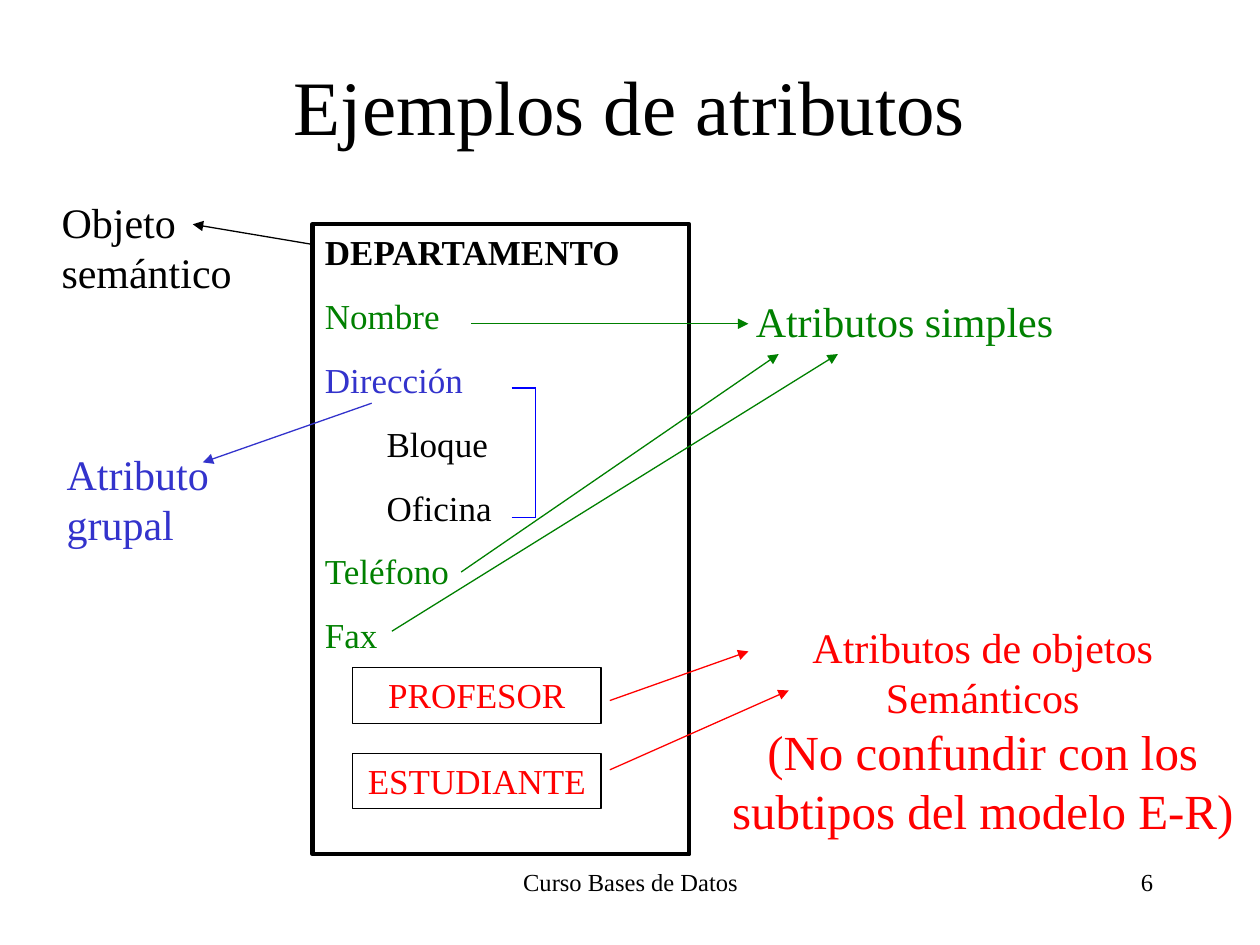
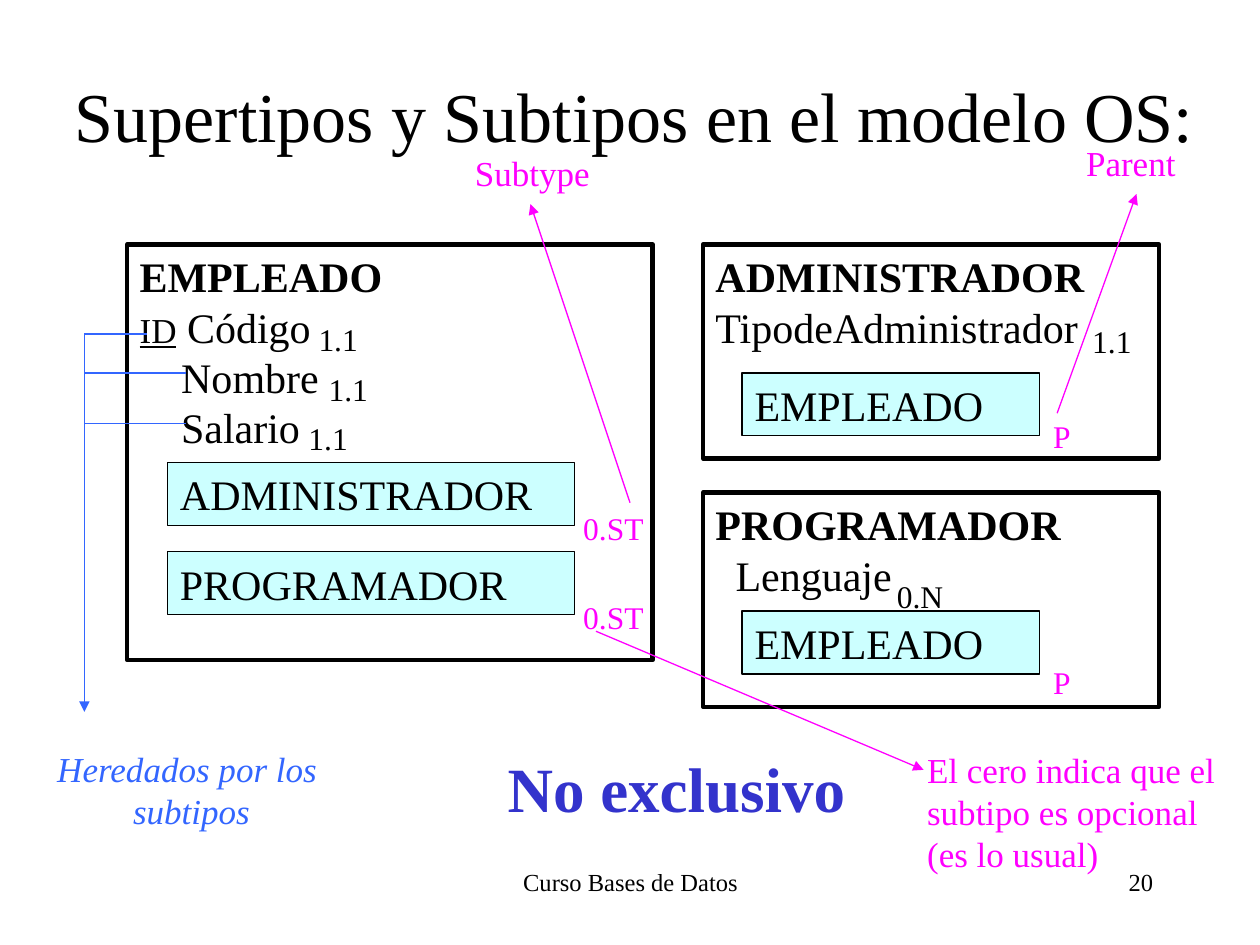
from pptx import Presentation
from pptx.dml.color import RGBColor as RGB
from pptx.enum.shapes import MSO_CONNECTOR as CONN, MSO_SHAPE as SHAPE
from pptx.enum.text import MSO_ANCHOR as ANCHOR, MSO_AUTO_SIZE as AUTO, PP_ALIGN as AL
from pptx.oxml.ns import qn
from pptx.util import Inches, Pt
from lxml import etree

COLORS = {
    "black": "000000", "green": "008000", "indigo": "3333CC", "blue": "0000FF",
    "red": "FF0000", "magenta": "FF00FF", "sky": "3366FF", "cyan": "CCFFFF",
}
FONT = "Times New Roman"
COLS, ROWS = 100, 75
THICK, THIN = 2.5, 0.75


def rgb(name):
    return RGB.from_string(COLORS[name])


def line(text, indent=0, **style):
    """One paragraph of a single run, indented by grid columns."""
    return indent, [(text, style)]


class Deck:
    """Shared style and current slide; places are grid columns and rows."""

    def __init__(self):
        self.prs = Presentation()
        self.prs.slide_width, self.prs.slide_height = Inches(10), Inches(7.5)
        self.cell_w = self.prs.slide_width / COLS
        self.cell_h = self.prs.slide_height / ROWS
        self.s = None

    def x(self, col):
        return round(col * self.cell_w)

    def y(self, row):
        return round(row * self.cell_h)

    def place(self, at):
        left, top, width, height = at
        return self.x(left), self.y(top), self.x(width), self.y(height)

    def add_lines(self, tf, lines, size, color="black", align=AL.LEFT, gap=0, wrap=True,
                  anchor=ANCHOR.TOP, **style):
        tf.word_wrap, tf.auto_size, tf.vertical_anchor = wrap, AUTO.NONE, anchor
        for i, item in enumerate(lines):
            indent, runs = line(item) if isinstance(item, str) else item
            p = tf.paragraphs[0] if i == 0 else tf.add_paragraph()
            p.alignment = align
            p.space_before = Pt(gap if i else 0)
            if indent:
                p._p.get_or_add_pPr().set("marL", str(self.x(indent)))
            for text, own in runs:
                look = {"size": size, "color": color, **style, **own}
                r = p.add_run()
                r.text = text
                r.font.name, r.font.size = FONT, Pt(look["size"])
                r.font.color.rgb = rgb(look["color"])
                r.font.bold = look.get("bold", False)
                r.font.italic = look.get("italic", False)
                r.font.underline = look.get("underline", False)

    def slide(self, title, number, at, size):
        self.s = self.prs.slides.add_slide(self.prs.slide_layouts[5])
        sp = self.s.shapes.title
        sp.left, sp.top, sp.width, sp.height = self.place(at)
        self.add_lines(sp.text_frame, [title], size, align=AL.CENTER, anchor=ANCHOR.MIDDLE)
        self.text((34.2, 68.3, 31.7, 5), ["Curso Bases de Datos"], 14, align=AL.CENTER)
        self.text((71.7, 68.3, 20.8, 5), [number], 14, align=AL.RIGHT)

    def text(self, at, lines, size, color="black", **style):
        sp = self.s.shapes.add_textbox(*self.place(at))
        self.add_lines(sp.text_frame, lines, size, color, **style)

    def box(self, at, lines, size, color="black", fill=None, width=THIN, **style):
        sp = self.s.shapes.add_shape(SHAPE.RECTANGLE, *self.place(at))
        sp.shadow.inherit = False
        if fill:
            sp.fill.solid()
            sp.fill.fore_color.rgb = rgb(fill)
        else:
            sp.fill.background()
        sp.line.color.rgb, sp.line.width = rgb("black"), Pt(width)
        self.add_lines(sp.text_frame, lines, size, color, **style)

    def link(self, x1, y1, x2, y2, color, arrow=True):
        c = self.s.shapes.add_connector(
            CONN.STRAIGHT, self.x(x1), self.y(y1), self.x(x2), self.y(y2))
        c.line.color.rgb, c.line.width = rgb(color), Pt(THIN)
        if arrow:
            etree.SubElement(c.line._get_or_add_ln(), qn("a:tailEnd"), type="triangle")
        etree.SubElement(c._element.spPr, qn("a:effectLst"))


def attribute_examples(d):
    d.slide("Ejemplos de atributos", "6", (7.5, 2.1, 85, 12.5), 44)

    # Semantic object with its attributes
    d.box((24.8, 17.8, 29.9, 50), [
        line("DEPARTAMENTO", bold=True),
        line("Nombre", color="green"),
        line("Dirección", color="indigo"),
        line("Bloque", indent=4.9),
        line("Oficina", indent=4.9),
        line("Teléfono", color="green"),
        line("Fax", color="green"),
    ], 20, width=THICK, gap=12.5)
    for i, name in enumerate(["PROFESOR", "ESTUDIANTE"]):
        d.box((28, 53 + 6.8 * i, 19.7, 4.4), [name], 20, "red", align=AL.CENTER)

    # Bracket around the group
    for bracket in [(40.6, 30.8, 42.5, 30.8), (40.6, 41.1, 42.5, 41.1),
                    (42.5, 30.8, 42.5, 41)]:
        d.link(*bracket, "blue", arrow=False)

    # Labels
    d.text((3.9, 15.1, 17.7, 9), ["Objeto semántico"], 24)
    d.text((59, 23, 25.6, 5), ["Atributos simples"], 24, "green", wrap=False)
    d.text((4.3, 35.1, 14.1, 9), ["Atributo", "grupal"], 24, "indigo", wrap=False)
    d.text((56, 48.8, 44, 18.4), [
        "Atributos de objetos", "Semánticos",
        line("(No confundir con los", size=28),
        line("subtipos del modelo E-R)", size=28),
    ], 24, "red", align=AL.CENTER)

    # Arrows from attributes to labels
    for *ends, color in [
        (24.8, 19.4, 15.3, 17.8, "black"),
        (29.5, 32, 16.1, 36.7, "indigo"),
        (37.4, 25.7, 59.4, 25.7, "green"),
        (36.6, 45.4, 61.8, 28.1, "green"),
        (31.1, 50.1, 66.5, 28.1, "green"),
        (48.4, 55.6, 59.4, 51.7, "red"),
        (48.4, 61.1, 62.6, 54.8, "red"),
    ]:
        d.link(*ends, color)


def supertypes(d):
    d.slide("Supertipos y Subtipos en el modelo OS:", "20", (3.5, 2.8, 93.7, 12.5), 40)

    # Supertype
    d.box((10.1, 19.4, 41.7, 33), [
        line("EMPLEADO", bold=True),
        (0, [("ID", {"size": 20, "underline": True}), (" Código", {})]),
        line("Nombre", indent=3.3),
        line("Salario", indent=3.3),
    ], 24, width=THICK)
    for i, name in enumerate(["ADMINISTRADOR", "PROGRAMADOR"]):
        top = 36.7 + 7.1 * i
        d.box((13.3, top, 32.3, 5), [name], 24, fill="cyan")
        d.text((45.3, top + 3.2, 6.8, 4), ["0.ST"], 18, "magenta", wrap=False)

    # Subtypes, each holding its parent
    for top, name, field, indent, parent_top, mark_top in [
        (19.4, "ADMINISTRADOR", "TipodeAdministrador", 0, 29.6, 32.6),
        (39.1, "PROGRAMADOR", "Lenguaje", 1.6, 48.5, 52.1),
    ]:
        d.box((55.8, top, 36.2, 17), [line(name, bold=True), line(field, indent)],
              24, width=THICK)
        d.box((58.9, parent_top, 23.6, 5), ["EMPLEADO"], 24, fill="cyan")
        d.text((82.6, mark_top, 4.7, 4), ["P"], 18, "magenta")

    # Cardinalities
    for left, top, value in [(24.3, 24.9, "1.1"), (25.1, 28.9, "1.1"), (23.5, 32.8, "1.1"),
                             (85.7, 25.1, "1.1"), (70.2, 45.3, "0.N")]:
        d.text((left, top, 5.4, 4), [value], 18, wrap=False)

    # Inherited attributes
    d.link(6.7, 26.6, 6.7, 56.5, "sky")
    for right, row in [(11.7, 26.5), (14.8, 29.6), (14.8, 33.6)]:
        d.link(6.7, row, right, row, "sky", arrow=False)
    d.text((3.5, 58.8, 23.4, 7.7), ["Heredados por los ", "subtipos"], 20, "sky",
           align=AL.CENTER, wrap=False, italic=True)

    # Notes and their arrows
    d.text((39.3, 59, 28.8, 7), ["No exclusivo"], 36, "indigo", wrap=False, bold=True)
    d.text((72.6, 58.9, 26, 11), ["El cero indica que el subtipo es opcional (es lo usual)"],
           20, "magenta")
    for left, top, word in [(81.3, 10.7, "Parent"), (33.8, 11.5, "Subtype")]:
        d.text((left, top, 16.9, 4.4), [word], 20, "magenta", align=AL.CENTER)
    for ends in [(47.3, 50.1, 73.3, 61.1), (83.9, 32.8, 90.2, 15.4), (50, 39.9, 42.1, 16.2)]:
        d.link(*ends, "magenta")


def main():
    d = Deck()
    attribute_examples(d)
    supertypes(d)
    d.prs.save("out.pptx")


if __name__ == "__main__":
    main()
